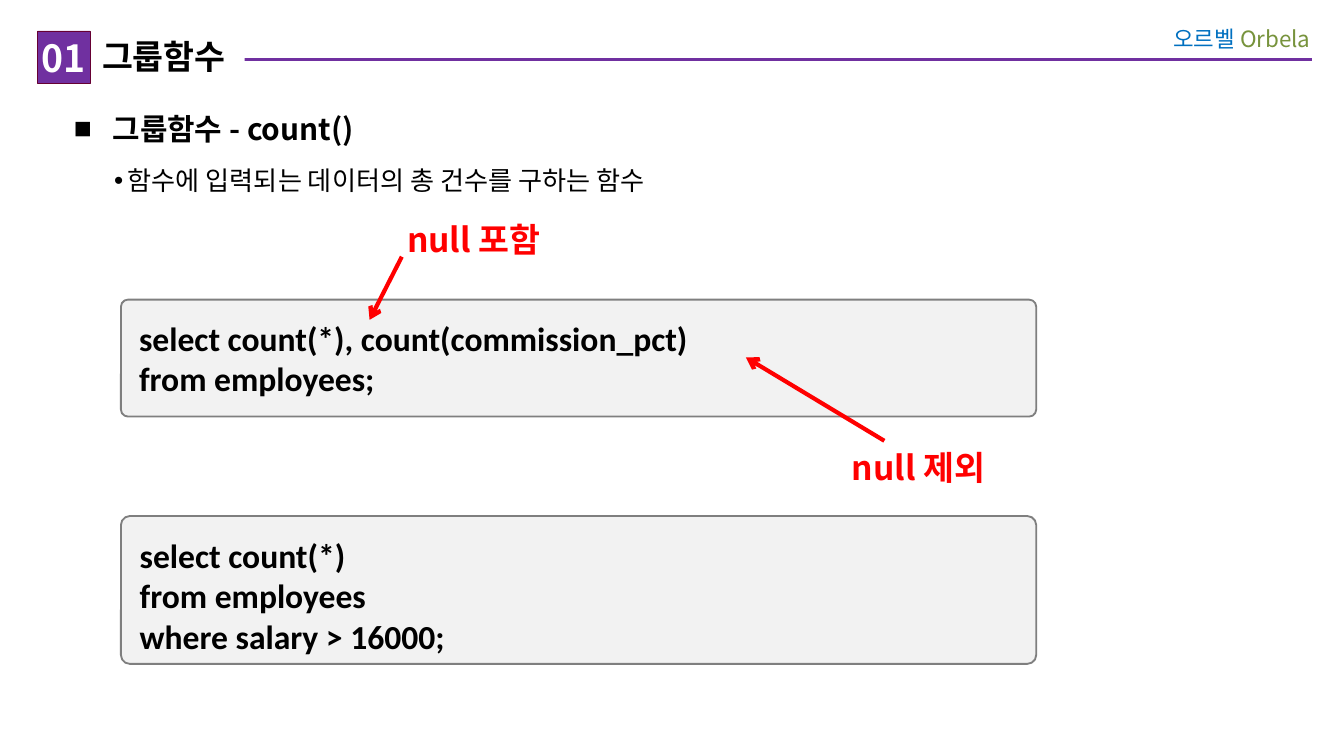
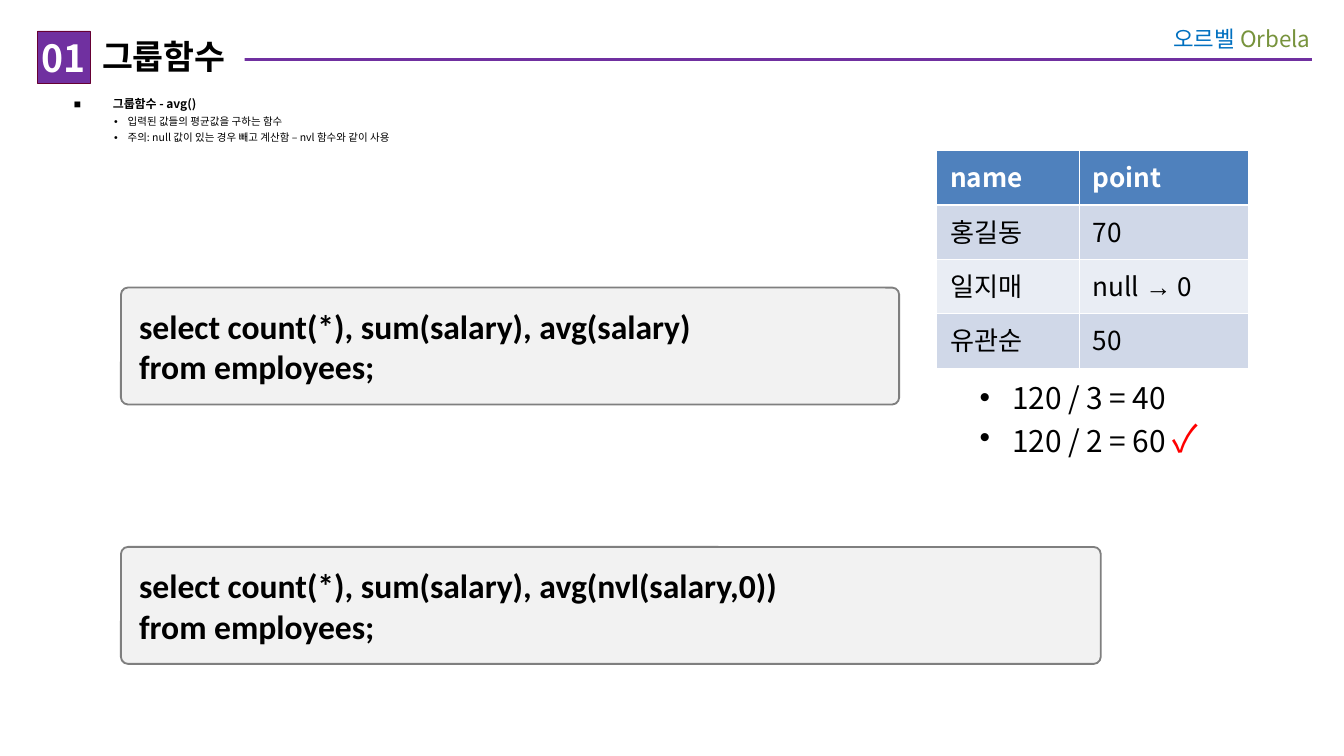
from lxml import etree
from pptx import Presentation
from pptx.dml.color import RGBColor
from pptx.enum.shapes import MSO_CONNECTOR, MSO_SHAPE
from pptx.enum.text import MSO_ANCHOR, PP_ALIGN
from pptx.oxml.ns import qn
from pptx.util import Emu, Inches, Pt

STRAIGHT = MSO_CONNECTOR.STRAIGHT
RECTANGLE, ROUNDED = MSO_SHAPE.RECTANGLE, MSO_SHAPE.ROUNDED_RECTANGLE
TOP, MIDDLE = MSO_ANCHOR.TOP, MSO_ANCHOR.MIDDLE
LEFT, CENTER, RIGHT = PP_ALIGN.LEFT, PP_ALIGN.CENTER, PP_ALIGN.RIGHT

SLIDE_W = Inches(10)
SLIDE_H = Emu(SLIDE_W * 9 // 16)
COL, ROW = SLIDE_W / 100, SLIDE_H / 56.25

KOREAN, CODE, SYMBOL = "Noto Sans CJK KR", "Calibri", "Arial"
BLACK, WHITE, RED, PURPLE = "000000", "FFFFFF", "FF0000", "7030A0"
PLUM, BLUE, GREEN = "660033", "0070C0", "77933C"
PANEL, PANEL_EDGE = "F2F2F2", "7F7F7F"
HEAD_FILL, BAND_FILLS = "4F81BD", ("D0D8E8", "E9EDF4")

HEADER_BOX = (2.8, 1.1, 95.7, 5.1)
BODY_BOX = (4.3, 6.9, 80.4, 4.7)
BODY_INSETS = (0.12, 0, 0.1, 0.05)
LABEL_INSETS = (0.1, 0.05, 0.1, 0.05)
CODE_LEFT, CODE_INSET = 9, 0.12
SQUARE = ("■", 0.29, -0.29)
DOT = ("•", 0.4, -0.1)
ANSWER_DOT = ("•", 0.47, -0.24)


def color(hex_code):
    return RGBColor.from_string(hex_code)


def place(box):
    left, top, width, height = box
    return Emu(round(left * COL)), Emu(round(top * ROW)), Emu(round(width * COL)), Emu(round(height * ROW))


def within(box, left, top, width, height):
    return box[0] + left, box[1] + top, width, height


def add_run(paragraph, text, size, ink=BLACK, bold=False, face=KOREAN):
    run = paragraph.add_run()
    run.text = text
    font = run.font
    font.size, font.bold, font.name = Pt(size), bold, face
    font.color.rgb = color(ink)
    properties = run._r.get_or_add_rPr()
    etree.SubElement(properties, qn("a:ea"), typeface=face)


def add_bullet(paragraph, bullet):
    mark, margin, indent = bullet
    properties = paragraph._p.get_or_add_pPr()
    properties.set("marL", str(Inches(margin)))
    properties.set("indent", str(Inches(indent)))
    bullet_color = etree.SubElement(properties, qn("a:buClr"))
    etree.SubElement(bullet_color, qn("a:srgbClr"), val=BLACK)
    etree.SubElement(properties, qn("a:buFont"), typeface=SYMBOL)
    etree.SubElement(properties, qn("a:buChar"), char=mark)


def write(frame, paragraphs, insets, align=LEFT, anchor=TOP):
    frame.word_wrap = True
    frame.vertical_anchor = anchor
    frame.margin_left, frame.margin_top, frame.margin_right, frame.margin_bottom = map(Inches, insets)
    for index, (runs, bullet, spacing) in enumerate(paragraphs):
        paragraph = frame.add_paragraph() if index else frame.paragraphs[0]
        paragraph.alignment = align
        if bullet:
            add_bullet(paragraph, bullet)
        if spacing:
            paragraph.line_spacing = spacing
        for run in runs:
            add_run(paragraph, *run)
        if bullet:
            for run in paragraph.runs:
                run._r.get_or_add_rPr().set("kern", "0")


def add_text(slide, box, paragraphs, insets, align=LEFT):
    write(slide.shapes.add_textbox(*place(box)).text_frame, paragraphs, insets, align)


def add_panel(slide, preset, box, fill, edge=None, weight=0):
    panel = slide.shapes.add_shape(preset, *place(box))
    panel.shadow.inherit = False
    panel.fill.solid()
    panel.fill.fore_color.rgb = color(fill)
    if edge:
        panel.line.color.rgb = color(edge)
        panel.line.width = Pt(weight)
    else:
        panel.line.fill.background()
    return panel


def add_line(slide, start, end, ink, weight, arrow=False):
    begin_x, begin_y, end_x, end_y = place((*start, *end))
    line = slide.shapes.add_connector(STRAIGHT, begin_x, begin_y, end_x, end_y)
    line.line.color.rgb = color(ink)
    line.line.width = Pt(weight)
    if arrow:
        etree.SubElement(line.line._get_or_add_ln(), qn("a:tailEnd"), type="arrow")
    etree.SubElement(line._element.spPr, qn("a:effectLst"))


def add_header(slide, box, number, title):
    left, top, width, _ = box
    rule_y = top + 3.3
    add_line(slide, (left + width - 0.9, rule_y), (left + 4.3, rule_y), PURPLE, 1.5)
    course = [("오르벨 ", 12, BLUE), ("Orbela", 12, GREEN)]
    add_text(slide, within(box, width - 15.4, 0, 15.4, 3.6), [(course, None, None)],
             (0.1, 0.08, 0.1, 0.08), RIGHT)
    heading = add_panel(slide, RECTANGLE, within(box, 4, 1.2, 11.4, 3.8), WHITE)
    write(heading.text_frame, [([(title, 18, BLACK, True)], None, None)], (0.08, 0.04, 0, 0.04))
    badge = add_panel(slide, RECTANGLE, within(box, 0, 1.2, 3.9, 3.9), PURPLE, PLUM, 0.25)
    write(badge.text_frame, [([(number, 20, WHITE, True)], None, None)], (0, 0, 0, 0), CENTER, MIDDLE)


def add_code(slide, box, lines):
    panel = add_panel(slide, ROUNDED, box, PANEL, PANEL_EDGE, 1)
    panel.adjustments[0] = 0.06
    paragraphs = [([(line, 18, BLACK, True, CODE)], None, None) for line in lines]
    write(panel.text_frame, paragraphs, (CODE_INSET,) * 4)


def add_callout(slide, box, text, start, end):
    add_text(slide, box, [([(text, 18, RED, True)], None, None)], LABEL_INSETS)
    add_line(slide, within(box, *start, 0, 0)[:2], within(box, *end, 0, 0)[:2], RED, 2.25, True)


def set_borders(cell, bottom_weight, top_weight):
    properties = cell._tc.get_or_add_tcPr()
    weights = {"a:lnL": 0.45, "a:lnR": 0.45, "a:lnT": top_weight, "a:lnB": bottom_weight}
    for index, (side, weight) in enumerate(weights.items()):
        border = etree.Element(qn(side), w=str(Pt(weight)))
        paint = etree.SubElement(border, qn("a:solidFill"))
        etree.SubElement(paint, qn("a:srgbClr"), val=WHITE)
        properties.insert(index, border)


def add_points_table(slide, box, rows):
    table = slide.shapes.add_table(len(rows), len(rows[0]), *place(box)).table
    for column, width in zip(table.columns, (10.6, 12.6)):
        column.width = Emu(round(width * COL))
    for row_index, row in enumerate(rows):
        table.rows[row_index].height = Emu(round(box[3] * ROW / len(rows)))
        is_head = row_index == 0
        for column_index, parts in enumerate(row):
            cell = table.cell(row_index, column_index)
            cell.fill.solid()
            cell.fill.fore_color.rgb = color(HEAD_FILL if is_head else BAND_FILLS[(row_index - 1) % 2])
            set_borders(cell, 1.47 if is_head else 0.45, 1.47 if row_index == 1 else 0.45)
            for part in parts:
                add_run(cell.text_frame.paragraphs[0], part, 14, WHITE if is_head else BLACK,
                        is_head, SYMBOL if part == "→" else KOREAN)


def new_slide(deck):
    slide = deck.slides.add_slide(deck.slide_layouts[6])
    add_header(slide, HEADER_BOX, "01", "그룹함수")
    return slide


def build_count_slide(deck):
    slide = new_slide(deck)
    add_text(slide, BODY_BOX, [([("그룹함수 - count()", 16, BLACK, True)], SQUARE, 1.5)], BODY_INSETS)
    add_text(slide, within(BODY_BOX, 0, 4.2, *BODY_BOX[2:]),
             [([("함수에 입력되는 데이터의 총 건수를 구하는 함수", 14)], DOT, 1.5)], BODY_INSETS)
    add_code(slide, (CODE_LEFT, 22.3, 68.1, 8.7),
             ["select count(*), count(commission_pct)", "from employees;"])
    add_callout(slide, (29.3, 15.8, 15.2, 4), "null 포함", (0.6, 3.3), (-1.8, 8))
    add_callout(slide, (62.4, 32.8, 15.2, 4), "null 제외", (3.4, 0), (-6.9, -6.2))
    add_code(slide, (CODE_LEFT, 38.4, 68.1, 11),
             ["select count(*)", "from employees", "where salary > 16000;"])


def build_avg_slide(deck):
    slide = new_slide(deck)
    add_text(slide, BODY_BOX, [
        ([("그룹함수 - avg()", 6.4, BLACK, True)], SQUARE, 1.3),
        ([("입력된 값들의 평균값을 구하는 함수", 5.6)], DOT, 1.3),
        ([("주의: null 값이 있는 경우 빼고 계산함 – nvl 함수와 같이 사용", 5.6)], DOT, 1.3),
    ], BODY_INSETS)
    add_points_table(slide, (69.7, 11.2, 23.2, 16.2), [
        (["name"], ["point"]),
        (["홍길동"], ["70"]),
        (["일지매"], ["null ", "→", " 0"]),
        (["유관순"], ["50"]),
    ])
    add_code(slide, (CODE_LEFT, 21.4, 57.9, 8.7),
             ["select count(*), sum(salary), avg(salary)", "from employees;"])
    add_text(slide, (69.4, 26.9, 23.6, 9.4), [
        ([("120 / 3 = 40", 16)], ANSWER_DOT, 1.5),
        ([("120 / 2 = 60 ", 16), ("✓", 20, RED)], ANSWER_DOT, None),
    ], BODY_INSETS)
    add_code(slide, (CODE_LEFT, 40.7, 72.9, 8.7),
             ["select count(*), sum(salary), avg(nvl(salary,0))", "from employees;"])


def main():
    deck = Presentation()
    deck.slide_width, deck.slide_height = SLIDE_W, SLIDE_H
    build_count_slide(deck)
    build_avg_slide(deck)
    deck.save("out.pptx")


if __name__ == "__main__":
    main()
